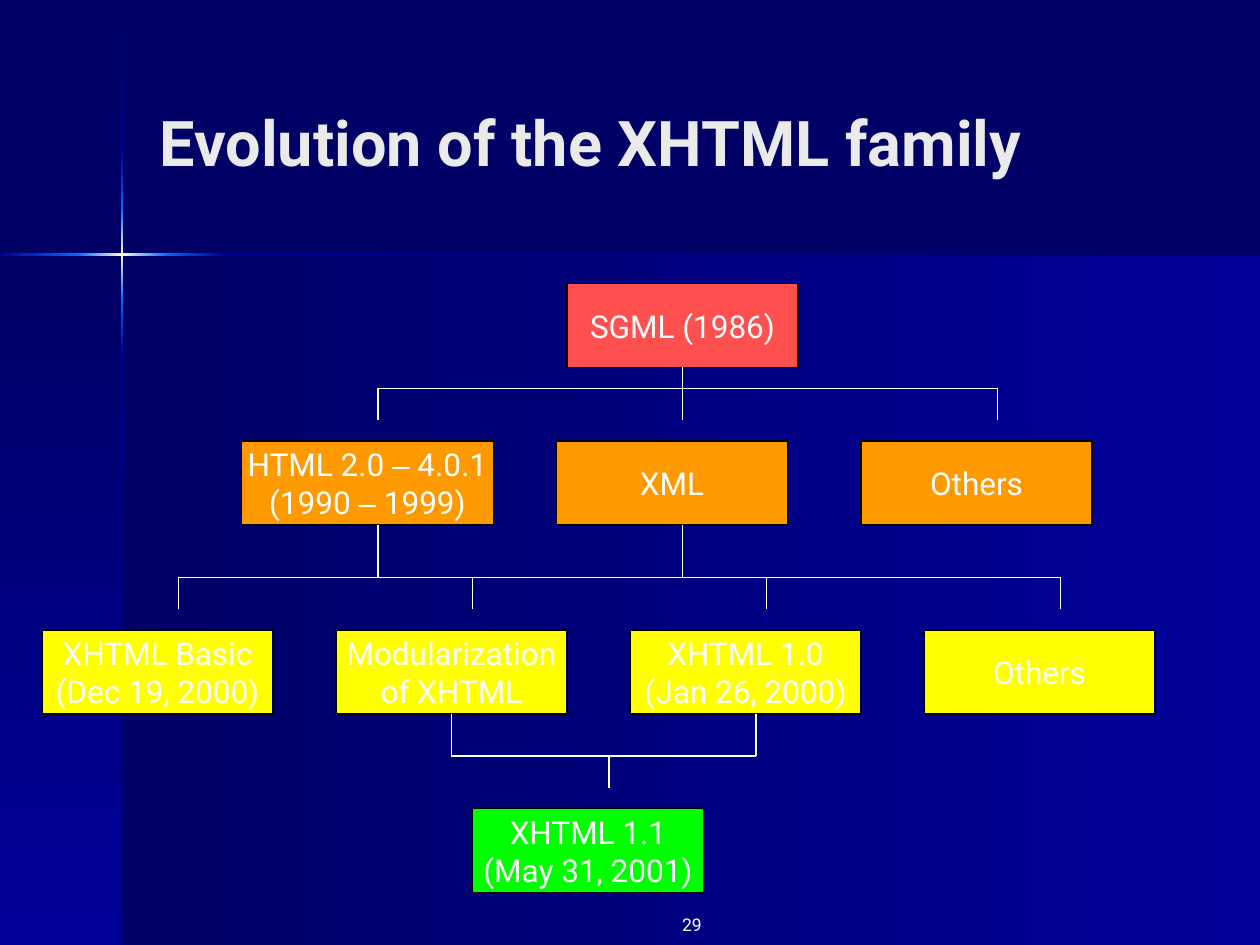
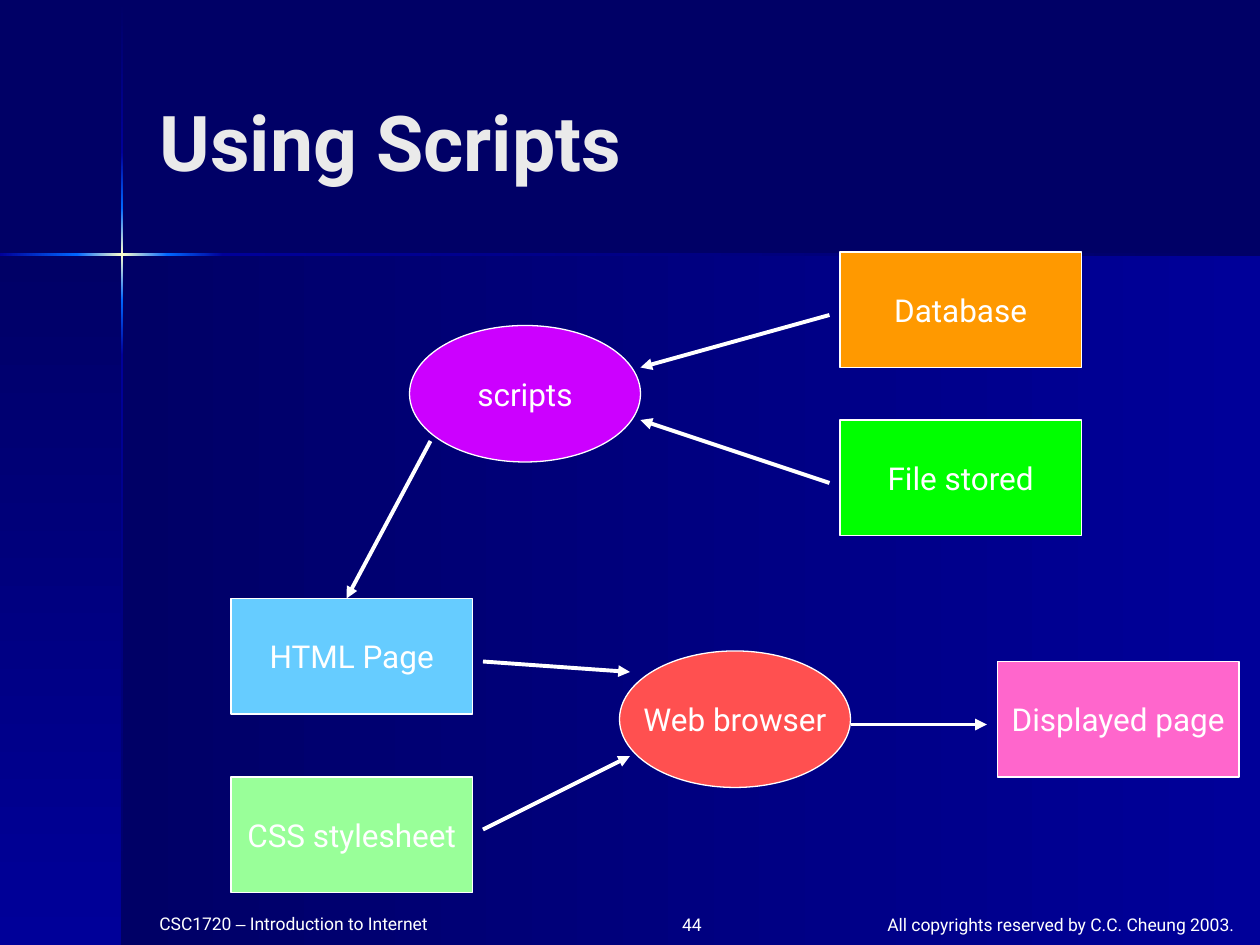
from itertools import groupby, pairwise

from lxml.etree import SubElement
from pptx import Presentation
from pptx.dml.color import RGBColor
from pptx.enum.shapes import MSO_CONNECTOR as Connector, MSO_SHAPE as Preset
from pptx.enum.text import MSO_ANCHOR as Anchor, MSO_AUTO_SIZE as AutoSize, PP_ALIGN as Align
from pptx.oxml.ns import qn
from pptx.util import Cm, Pt

COLOURS = {
    "navy": "000066", "blue": "000099", "azure": "0066FF", "cream": "FFFFCC",
    "white": "FFFFFF", "black": "000000", "title": "EAEAEA", "red": "FF5050",
    "orange": "FF9900", "yellow": "FFFF00", "green": "00FF00", "sky": "66CCFF",
    "mint": "99FF99", "pink": "FF66CC", "violet": "CC00FF",
}
FONT, DASH_FONT = "Roboto", "Arial"
WIDTH, HEIGHT = 25.4, 19.05
GRID = 2.54 / 12  # diagrams sit on a grid of twelve steps to the inch

# Backdrop: panels and the two rays of the flare, in centimetres
PANELS = [  # left, top, width, height, runs downwards
    (2.46, 5.13, 22.94, 13.92, False),
    (0, 5.13, 2.46, 13.92, True),
]
RAY = 0.05
RAY_LEFT, RAY_TOP = 2.44, 5.11
DOWN_RAY = [(0.03, "navy"), (3.07, "blue"), (4.19, "azure"), (5.12, "cream"),
            (6.05, "azure"), (7.16, "blue"), (HEIGHT, "navy")]
ACROSS_RAY = [(0, "blue"), (1.55, "azure"), (2.46, "cream"), (3.38, "azure"),
              (4.5, "blue"), (WIDTH, "navy")]

# Shared text places, in grid steps: left, top, width, height
TITLE_AREA = (14, 4, 99, 18.84)
FOOTERS = {
    "course": ((14, 86.4, 29, 3), Align.LEFT),
    "rights": ((82, 86.5, 38, 2.9), Align.CENTER),
    "number": ((60, 86.5, 8, 2.9), Align.RIGHT),
}

# Family tree, in grid steps
BOX_WIDTH, BOX_HEIGHT = 22, 8
LEVELS = [  # top, colour, boxes as (left, width, lines)
    (27, "red", [(54, BOX_WIDTH, ["SGML (1986)"])]),
    (42, "orange", [(23, 24, ["HTML 2.0 – 4.0.1", "(1990 – 1999)"]),
                    (53, BOX_WIDTH, ["XML"]),
                    (82, BOX_WIDTH, ["Others"])]),
    (60, "yellow", [(4 + 28 * column, BOX_WIDTH, lines) for column, lines in enumerate([
        ["XHTML Basic", "(Dec 19, 2000)"], ["Modularization", "of XHTML"],
        ["XHTML 1.0", "(Jan 26, 2000)"], ["Others"]])]),
    (77, "green", [(45, BOX_WIDTH, ["XHTML 1.1", "(May 31, 2001)"])]),
]
BRANCHES = [  # parent bottom, bar height, child line end, parent xs, child xs
    (35, 37, 40, [65], [36, 65, 95]),
    (50, 55, 58, [36, 65], [17, 45, 73, 101]),
    (68, 72, 75, [43, 72], [58]),
]

# Script flow, in grid steps
SIZES = {Preset.RECTANGLE: (23, 11), Preset.OVAL: (22, 13)}
FLOW_NODES = [
    ("HTML Page", Preset.RECTANGLE, 22, 57, "sky"),
    ("CSS stylesheet", Preset.RECTANGLE, 22, 74, "mint"),
    ("Web browser", Preset.OVAL, 59, 62, "red"),
    ("Displayed page", Preset.RECTANGLE, 95, 63, "pink"),
    ("Database", Preset.RECTANGLE, 80, 24, "orange"),
    ("File stored", Preset.RECTANGLE, 80, 40, "green"),
    ("scripts", Preset.OVAL, 39, 31, "violet"),
]
FLOW_ARROWS = [
    (46, 63, 60, 64), (46, 79, 60, 72), (81, 69, 94, 69),
    (79, 30, 61, 35), (79, 46, 61, 40), (41, 42, 33, 57),
]


def colour(name):
    return RGBColor.from_string(COLOURS[name])


def steps(values):
    return [Cm(value * GRID) for value in values]


def write(frame, lines, size, align, ink="white", bold=False):
    """Fill a text frame, setting en dashes in their own font."""
    for index, line in enumerate(lines):
        para = frame.add_paragraph() if index else frame.paragraphs[0]
        para.alignment = align
        for is_dash, letters in groupby(line, lambda letter: letter == "–"):
            span = para.add_run()
            span.text = "".join(letters)
            look = {"name": DASH_FONT if is_dash else FONT, "size": Pt(size), "bold": bold}
            for key, value in look.items():
                setattr(span.font, key, value)
            span.font.color.rgb = colour(ink)


def add_gradient(page, area, start, end, downwards):
    band = page.shapes.add_shape(Preset.RECTANGLE, *[Cm(value) for value in area])
    band.shadow.inherit = False
    band.line.fill.background()
    band.fill.gradient()
    band.fill.gradient_angle = 270 if downwards else 0
    for stop, name in zip(band.fill.gradient_stops, (start, end)):
        stop.color.rgb = colour(name)
    return band


def add_backdrop(page, layout):
    """Draw the panels and flare, then hand them to the layout."""
    bands = [add_gradient(page, area, "navy", "blue", downwards)
             for *area, downwards in PANELS]
    for (top, start), (bottom, end) in pairwise(DOWN_RAY):
        area = (RAY_LEFT, top, RAY, bottom - top)
        bands.append(add_gradient(page, area, start, end, True))
    for (left, start), (right, end) in pairwise(ACROSS_RAY):
        area = (left, RAY_TOP, right - left, RAY)
        bands.append(add_gradient(page, area, start, end, False))
    for index, band in enumerate(bands):
        layout.shapes.element.insert(2 + index, band.element)
    layout.background.fill.solid()
    layout.background.fill.fore_color.rgb = colour("navy")


def add_title(page, text, size):
    title = page.shapes.title
    for key, value in zip(("left", "top", "width", "height"), steps(TITLE_AREA)):
        setattr(title, key, value)
    frame = title.text_frame
    frame.auto_size, frame.vertical_anchor = AutoSize.NONE, Anchor.MIDDLE
    write(frame, [text], size, Align.LEFT, "title", True)


def add_footers(page, **texts):
    for name, text in texts.items():
        area, align = FOOTERS[name]
        frame = page.shapes.add_textbox(*steps(area)).text_frame
        frame.word_wrap = True
        write(frame, [text], 10, align)


def add_node(page, preset, area, lines, fill, edge):
    node = page.shapes.add_shape(preset, *steps(area))
    node.shadow.inherit = False
    node.fill.solid()
    node.fill.fore_color.rgb = colour(fill)
    node.line.color.rgb = colour(edge)
    node.line.width = Pt(0.75)
    node.text_frame.word_wrap = False
    node.text_frame.vertical_anchor = Anchor.MIDDLE
    write(node.text_frame, lines, 18, Align.CENTER)


def add_line(page, ends, width=0.75, arrow=False):
    line = page.shapes.add_connector(Connector.STRAIGHT, *steps(ends))
    line.line.color.rgb = colour("white")
    line.line.width = Pt(width)
    properties = line.element.spPr
    if arrow:
        SubElement(properties.find(qn("a:ln")), qn("a:tailEnd"), type="triangle")
    SubElement(properties, qn("a:effectLst"))


def build_family(page):
    add_title(page, "Evolution of the XHTML family", 36)
    for top, fill, boxes in LEVELS:
        for left, width, lines in boxes:
            area = (left, top, width, BOX_HEIGHT)
            add_node(page, Preset.RECTANGLE, area, lines, fill, "black")
    for top, bar, bottom, parents, children in BRANCHES:
        for x in parents:
            add_line(page, (x, top, x, bar))
        for x in children:
            add_line(page, (x, bar, x, bottom))
        xs = parents + children
        add_line(page, (min(xs), bar, max(xs), bar))
    add_footers(page, number="29")


def build_scripts(page):
    add_title(page, "Using Scripts", 44)
    for text, preset, left, top, fill in FLOW_NODES:
        add_node(page, preset, (left, top, *SIZES[preset]), [text], fill, "white")
    for ends in FLOW_ARROWS:
        add_line(page, ends, 2.25, arrow=True)
    add_footers(page, course="CSC1720 – Introduction to Internet",
                rights="All copyrights reserved by C.C. Cheung 2003.", number="44")


def main():
    deck = Presentation()
    deck.slide_width, deck.slide_height = Cm(WIDTH), Cm(HEIGHT)
    layout = deck.slide_layouts[5]
    family, scripts = [deck.slides.add_slide(layout) for _ in range(2)]
    add_backdrop(family, layout)
    build_family(family)
    build_scripts(scripts)
    deck.save("out.pptx")


if __name__ == "__main__":
    main()
